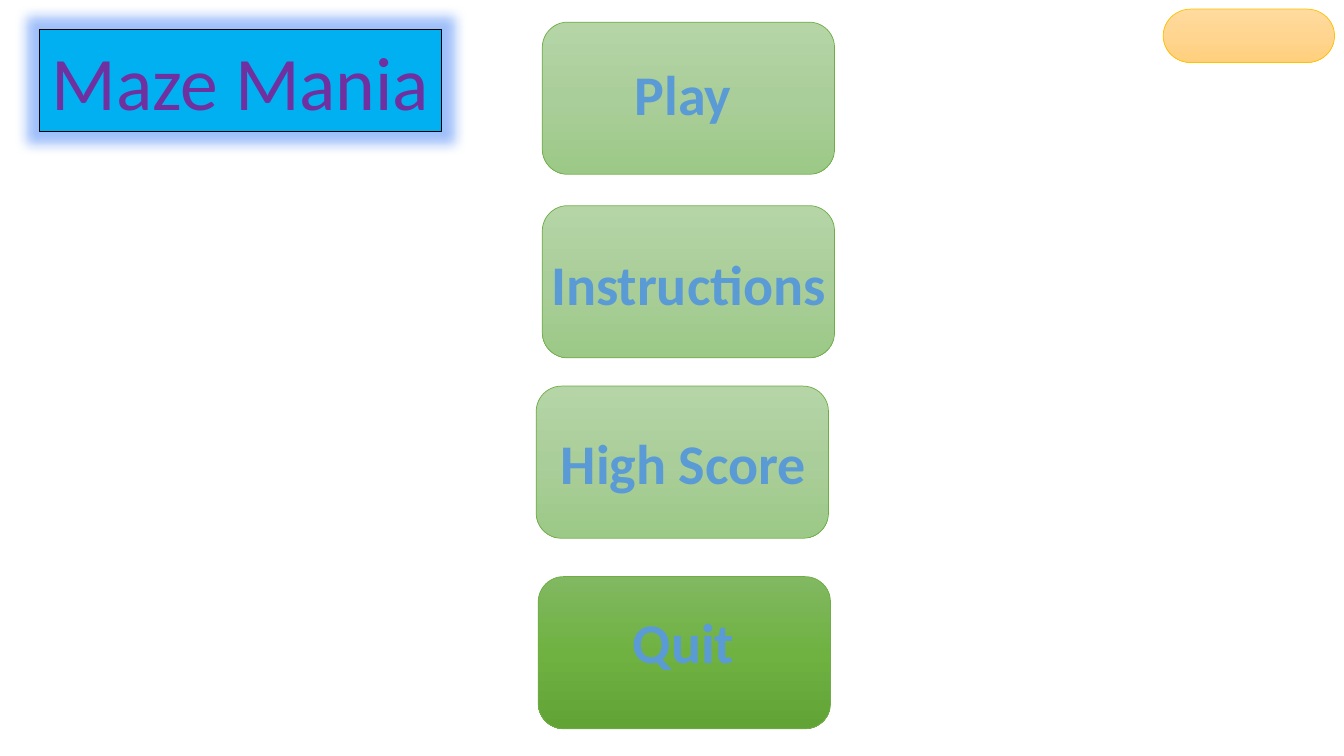
import copy

import lxml.etree
import pptx
import pptx.dml.color
import pptx.enum.shapes
import pptx.enum.text
import pptx.oxml.ns
import pptx.util

SLIDE_WIDTH = pptx.util.Inches(13.33)
SLIDE_HEIGHT = pptx.util.Inches(7.5)

# Gradients run from top to bottom
PALE_GREEN = ("B5D5A7", "AACE9A", "9CC987")
DEEP_GREEN = ("81B861", "6FB242", "62A336")
ORANGE = ("FFDB9E", "FFD590", "FFD07C")

BUTTON_SIZE = (21.75, 20.13)
LABEL_SIZE = (22.2, 10.27)
LABEL_FORMAT = {"name": "Calibri", "size": pptx.util.Pt(40), "bold": True}
TITLE_FORMAT = {"name": "Calibri", "size": pptx.util.Pt(54), "bold": False}

# Label, button left and top, label centre and top (percent of slide), gradient
MENU = (
    ("Play", 40.35, 2.93, 50.81, 7.2, PALE_GREEN),
    ("Instructions", 40.35, 27.2, 51.22, 32.27, PALE_GREEN),
    ("High Score", 39.9, 51.07, 50.85, 56, PALE_GREEN),
    ("Quit", 40.05, 76.27, 50.85, 79.73, DEEP_GREEN),
)


def color(value):
    return pptx.dml.color.RGBColor.from_string(value)


def box(left, top, width, height):
    """Turn percentages of the slide into lengths."""
    return (int(SLIDE_WIDTH * left / 100), int(SLIDE_HEIGHT * top / 100),
            int(SLIDE_WIDTH * width / 100), int(SLIDE_HEIGHT * height / 100))


def add_element(parent, tag, **attributes):
    return lxml.etree.SubElement(parent, pptx.oxml.ns.qn(tag), attributes)


def set_line(shape, line_color, width):
    shape.line.color.rgb = color(line_color)
    shape.line.width = pptx.util.Pt(width)


def add_gradient_shape(slide, kind, place, gradient, line_color):
    shape = slide.shapes.add_shape(kind, *box(*place))
    shape.shadow.inherit = False
    shape.fill.gradient()
    shape.fill.gradient_angle = 270
    first = shape.fill.gradient_stops[0]._gs
    first.addnext(copy.deepcopy(first))
    for stop, position, value in zip(shape.fill.gradient_stops, (0, 0.5, 1), gradient):
        stop.position = position
        stop.color.rgb = color(value)
    set_line(shape, line_color, 0.5)


def write_text(shape, text, text_color, formats, outline, outline_width):
    frame = shape.text_frame
    frame.word_wrap = False
    frame.vertical_anchor = pptx.enum.text.MSO_ANCHOR.MIDDLE
    paragraph = frame.paragraphs[0]
    paragraph.alignment = pptx.enum.text.PP_ALIGN.CENTER
    run = paragraph.add_run()
    run.text = text
    for name, value in formats.items():
        setattr(run.font, name, value)
    run.font.color.rgb = color(text_color)
    # The letter outline comes first among the run properties
    properties = run.font._element
    line = add_element(properties, "a:ln", w=str(pptx.util.Pt(outline_width)))
    add_element(add_element(line, "a:solidFill"), "a:srgbClr", val=outline)
    properties.insert(0, line)


def add_glow(shape, glow_color, radius, opacity):
    effects = add_element(shape._element.spPr, "a:effectLst")
    glow = add_element(effects, "a:glow", rad=str(pptx.util.Inches(radius)))
    tint = add_element(glow, "a:srgbClr", val=glow_color)
    add_element(tint, "a:alpha", val=str(opacity * 1000))


def add_title(slide):
    title = slide.shapes.title
    title.left, title.top, title.width, title.height = box(2.93, 3.87, 29.93, 13.47)
    title.fill.solid()
    title.fill.fore_color.rgb = color("00B0F0")
    set_line(title, "000000", 0.75)
    add_glow(title, "4080F5", 0.25, 50)
    write_text(title, "Maze Mania", "7030A0", TITLE_FORMAT, "000000", 0)


def add_menu_button(slide, text, left, top, center, label_top, gradient):
    add_gradient_shape(slide, pptx.enum.shapes.MSO_SHAPE.FLOWCHART_ALTERNATE_PROCESS,
                       (left, top, *BUTTON_SIZE), gradient, "70AD47")
    label_left = center - LABEL_SIZE[0] / 2
    label = slide.shapes.add_textbox(*box(label_left, label_top, *LABEL_SIZE))
    write_text(label, text, "5B9BD5", LABEL_FORMAT, "FFFFFF", 0.75)


def main():
    presentation = pptx.Presentation()
    presentation.slide_width = SLIDE_WIDTH
    presentation.slide_height = SLIDE_HEIGHT
    slide = presentation.slides.add_slide(presentation.slide_layouts[5])

    # Game title
    add_title(slide)

    # Menu column
    for entry in MENU:
        add_menu_button(slide, *entry)

    # Empty pill in the top right corner
    add_gradient_shape(slide, pptx.enum.shapes.MSO_SHAPE.FLOWCHART_TERMINATOR,
                       (86.55, 1.2, 12.75, 7.07), ORANGE, "FFC000")

    presentation.save("out.pptx")


if __name__ == "__main__":
    main()
